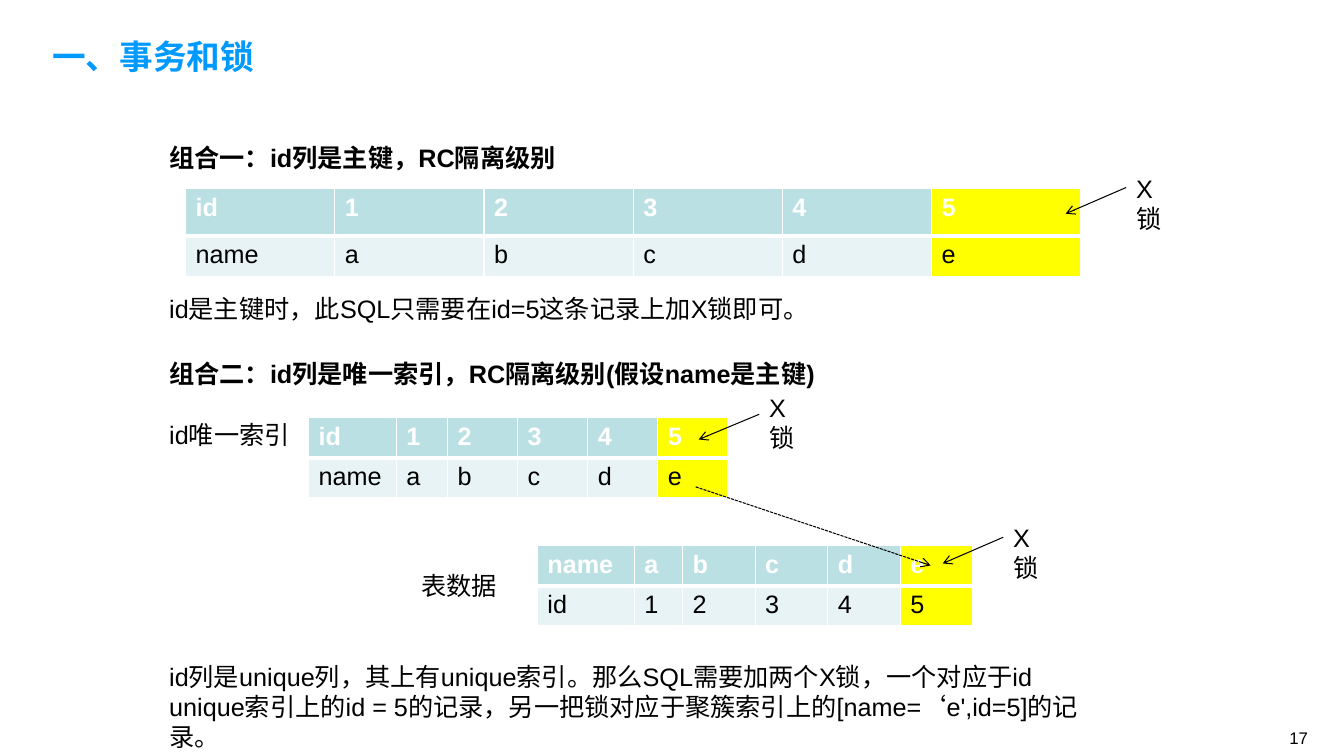
from dataclasses import dataclass

from lxml import etree
from pptx import Presentation
from pptx.dml.color import RGBColor
from pptx.enum.dml import MSO_LINE_DASH_STYLE as DASH
from pptx.enum.shapes import MSO_CONNECTOR as CONNECTOR
from pptx.enum.text import MSO_ANCHOR as ANCHOR
from pptx.oxml.ns import qn
from pptx.util import Inches, Pt


@dataclass(frozen=True)
class Theme:
    latin: str = "Arial"
    chinese: str = "Noto Sans CJK SC"
    title: str = "0099FF"
    ink: str = "000000"
    white: str = "FFFFFF"
    header: str = "BBE0E3"
    row: str = "E7F3F4"
    locked: str = "FFFF00"
    title_size: int = 24
    body_size: int = 18
    number_size: int = 12


theme = Theme()


def write_text(frame, text, size=theme.body_size, color=theme.ink, bold=False,
               font=theme.latin, anchor=ANCHOR.TOP):
    frame.word_wrap = True
    frame.vertical_anchor = anchor
    run = frame.paragraphs[0].add_run()
    run.text = text
    run.font.size = Pt(size)
    run.font.bold = bold
    run.font.name = font
    run.font.color.rgb = RGBColor.from_string(color)
    east_asian = etree.SubElement(run._r.rPr, qn("a:ea"))
    east_asian.set("typeface", theme.chinese)


def set_border(cell, side, width):
    line = etree.SubElement(cell._tc.get_or_add_tcPr(), qn(f"a:{side}"), w=str(Pt(width)))
    fill = etree.SubElement(line, qn("a:solidFill"))
    etree.SubElement(fill, qn("a:srgbClr"), val=theme.white)


presentation = Presentation()
presentation.slide_width = Inches(13.33)
presentation.slide_height = Inches(7.5)
slide = presentation.slides.add_slide(presentation.slide_layouts[6])
shapes = slide.shapes

# Title, headings, explanations, lock labels and page number
title_format = dict(size=theme.title_size, color=theme.title, bold=True,
                    font=theme.chinese, anchor=ANCHOR.MIDDLE)
heading_format = dict(bold=True)
texts = [
    (0.42, 0.22, 8.43, 0.67, "一、事务和锁", title_format),
    (1.58, 1.36, 10.36, 0.4, "组合一：id列是主键，RC隔离级别", heading_format),
    (1.58, 2.86, 10.36, 0.4, "id是主键时，此SQL只需要在id=5这条记录上加X锁即可。", {}),
    (1.58, 3.51, 9.36, 0.4, "组合二：id列是唯一索引，RC隔离级别(假设name是主键)", heading_format),
    (1.58, 4.11, 1.48, 0.4, "id唯一索引", {}),
    (4.08, 5.61, 1.2, 0.4, "表数据", {}),
    (1.58, 6.51, 9.36, 1.0,
     "id列是unique列，其上有unique索引。那么SQL需要加两个X锁，一个对应于id "
     "unique索引上的id = 5的记录，另一把锁对应于聚簇索引上的[name=‘e',id=5]的记录。", {}),
    (11.17, 1.67, 0.55, 0.7, "X锁", {}),
    (7.53, 3.84, 0.55, 0.7, "X锁", {}),
    (9.95, 5.13, 0.55, 0.7, "X锁", {}),
    (12.69, 7.17, 0.43, 0.3, "17", dict(size=theme.number_size)),
]
for left, top, width, height, text, text_format in texts:
    box = shapes.add_textbox(Inches(left), Inches(top), Inches(width), Inches(height))
    write_text(box.text_frame, text, **text_format)

# Tables: the last column is the locked record
ids = ["id", *"12345"]
names = ["name", *"abcde"]
tables = [
    (1.84, 1.87, [1.48] * 6, [0.47, 0.4], [ids, names]),
    (3.06, 4.14, [0.87, 0.51] + [0.695] * 4, [0.4, 0.4], [ids, names]),
    (5.33, 5.41, [0.96, 0.48] + [0.72] * 4, [0.4, 0.4], [names, ids]),
]
for left, top, widths, heights, rows in tables:
    table = shapes.add_table(len(rows), len(widths), Inches(left), Inches(top),
                             Inches(sum(widths)), Inches(sum(heights))).table
    table.horz_banding = False
    for column, width in zip(table.columns, widths):
        column.width = Inches(width)
    for row_index, (values, height) in enumerate(zip(rows, heights)):
        table.rows[row_index].height = Inches(height)
        is_header = row_index == 0
        row_fill = theme.header if is_header else theme.row
        for column_index, value in enumerate(values):
            cell = table.cell(row_index, column_index)
            write_text(cell.text_frame, value, bold=is_header,
                       color=theme.white if is_header else theme.ink)
            set_border(cell, "lnL", 1)
            set_border(cell, "lnR", 1)
            set_border(cell, "lnT", 1 if is_header else 3)
            set_border(cell, "lnB", 3 if is_header else 1)
            is_locked = column_index == len(values) - 1
            cell.fill.solid()
            cell.fill.fore_color.rgb = RGBColor.from_string(
                theme.locked if is_locked else row_fill)

# Arrows: lock labels to records, and index entry to table row
arrows = [
    (11.17, 1.86, 10.57, 2.12, DASH.SOLID),
    (7.53, 4.11, 6.93, 4.36, DASH.SOLID),
    (9.95, 5.33, 9.35, 5.59, DASH.SOLID),
    (6.9, 4.83, 9.23, 5.61, DASH.SQUARE_DOT),
]
for start_x, start_y, end_x, end_y, dash in arrows:
    arrow = shapes.add_connector(CONNECTOR.STRAIGHT, Inches(start_x), Inches(start_y),
                                 Inches(end_x), Inches(end_y))
    arrow.line.color.rgb = RGBColor.from_string(theme.ink)
    arrow.line.width = Pt(0.75)
    arrow.line.dash_style = dash
    etree.SubElement(arrow.line._get_or_add_ln(), qn("a:tailEnd"), type="arrow")
    etree.SubElement(arrow._element.spPr, qn("a:effectLst"))

presentation.save("out.pptx")
